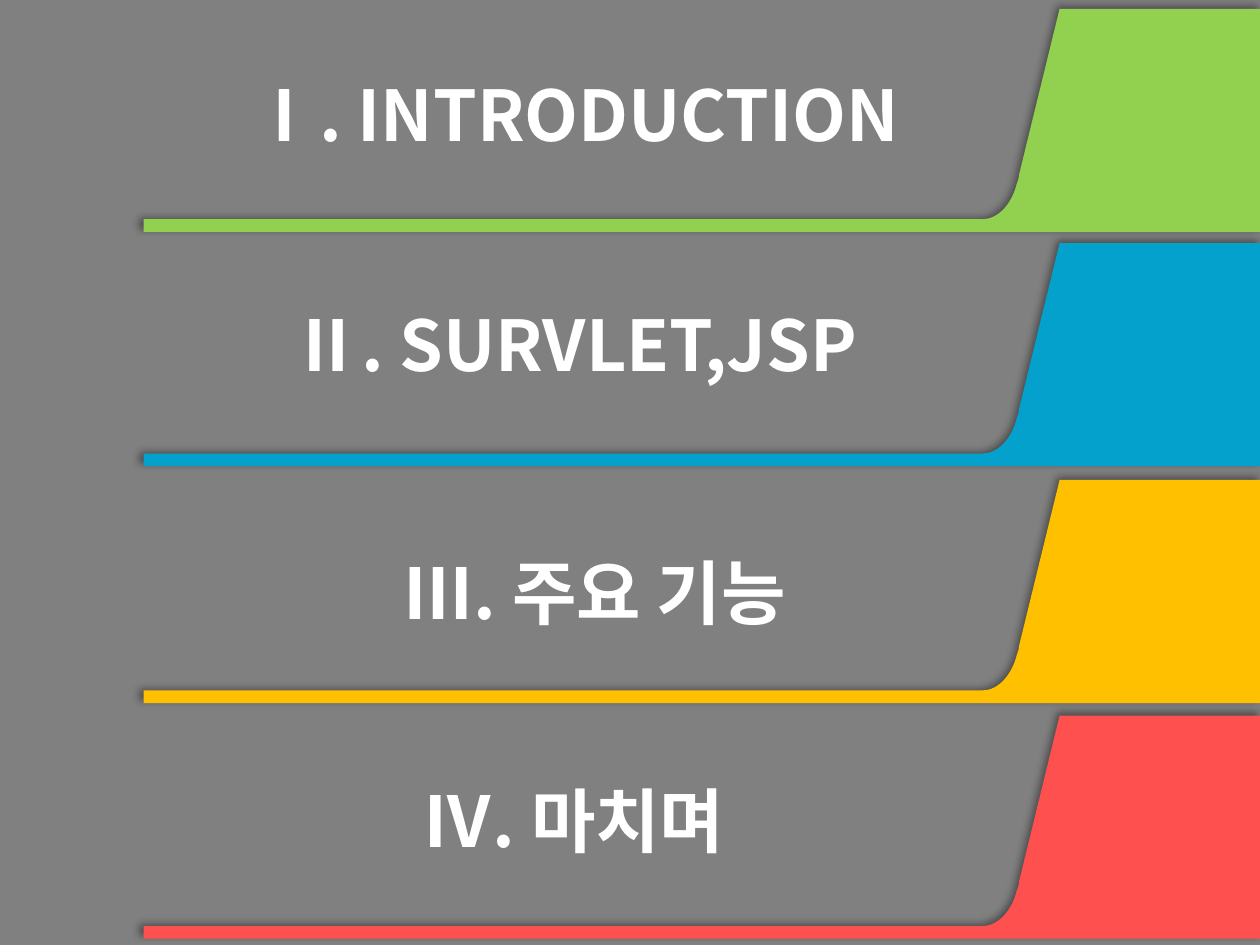
from lxml import etree
from pptx import Presentation
from pptx.dml.color import RGBColor
from pptx.enum.text import MSO_AUTO_SIZE, PP_ALIGN
from pptx.oxml import parse_xml
from pptx.oxml.ns import nsdecls, qn
from pptx.util import Inches, Pt

COLORS = {
    "background": "808080",
    "green": "92D050",
    "blue": "04A1CC",
    "yellow": "FFC000",
    "red": "FF5050",
    "text": "FFFFFF",
    "shadow": "000000",
}
FONT = "Noto Sans CJK KR"
TITLE_FORMAT = {"name": FONT, "size": Pt(40), "bold": True}

TABS = [
    (0.07, "green"),
    (1.93, "blue"),
    (3.81, "yellow"),
    (5.68, "red"),
]
TITLES = [
    ("Ⅰ. INTRODUCTION", 1.7, 0.52, 5.71),
    ("Ⅱ. SURVLET,JSP", 1.85, 2.34, 5.41),
    ("Ⅳ. 마치며", 2.07, 6.12, 4.96),
    ("Ⅲ. 주요 기능", 2.24, 4.31, 4.96),
]

TAB_LEFT = 1.14
OUTLINE = [(8.41, 0), (10, 0), (10, 1.77), (TAB_LEFT, 1.77), (TAB_LEFT, 1.67), (7.8, 1.67)]
CURVES = [
    [(7.92, 1.67), (8.03, 1.55), (8.07, 1.39)],
    [(8.08, 1.36), (8.09, 1.34), (8.09, 1.31)],
]


def color(key):
    return RGBColor.from_string(COLORS[key])


def add_curves(sp):
    close = next(sp._element.iter(qn("a:close")))
    for controls in CURVES:
        curve = etree.Element(qn("a:cubicBezTo"))
        for x, y in controls:
            etree.SubElement(curve, qn("a:pt"), x=str(Inches(x - TAB_LEFT)), y=str(Inches(y)))
        close.addprevious(curve)


def add_shadow(sp):
    sp.shadow.inherit = False
    effects = sp._element.spPr.find(qn("a:effectLst"))
    effects.append(parse_xml(
        f'<a:outerShdw {nsdecls("a")} blurRad="{Pt(4)}" dist="{Pt(3)}" '
        f'dir="{225 * 60000}" algn="br" rotWithShape="0">'
        f'<a:srgbClr val="{COLORS["shadow"]}"><a:alpha val="40000"/></a:srgbClr>'
        '</a:outerShdw>'))


def add_tab(s, top, fill):
    points = [(Inches(x), Inches(top + y)) for x, y in OUTLINE]
    builder = s.shapes.build_freeform(*points[0])
    builder.add_line_segments(points[1:], close=True)
    sp = builder.convert_to_shape()
    add_curves(sp)
    sp.fill.solid()
    sp.fill.fore_color.rgb = color(fill)
    sp.line.fill.background()
    add_shadow(sp)


def add_title(s, text, left, top, width):
    sp = s.shapes.add_textbox(Inches(left), Inches(top), Inches(width), Inches(0.77))
    tf = sp.text_frame
    tf.word_wrap = True
    tf.auto_size = MSO_AUTO_SIZE.SHAPE_TO_FIT_TEXT
    p = tf.paragraphs[0]
    p.alignment = PP_ALIGN.CENTER
    r = p.add_run()
    r.text = text
    for name, value in TITLE_FORMAT.items():
        setattr(r.font, name, value)
    r.font.color.rgb = color("text")
    etree.SubElement(r._r.get_or_add_rPr(), qn("a:ea"), typeface=FONT)


def main():
    prs = Presentation()
    prs.slide_width, prs.slide_height = Inches(10), Inches(7.5)
    s = prs.slides.add_slide(prs.slide_layouts[6])
    s.background.fill.solid()
    s.background.fill.fore_color.rgb = color("background")
    for tab in TABS:
        add_tab(s, *tab)
    for title in TITLES:
        add_title(s, *title)
    prs.save("out.pptx")


if __name__ == "__main__":
    main()
